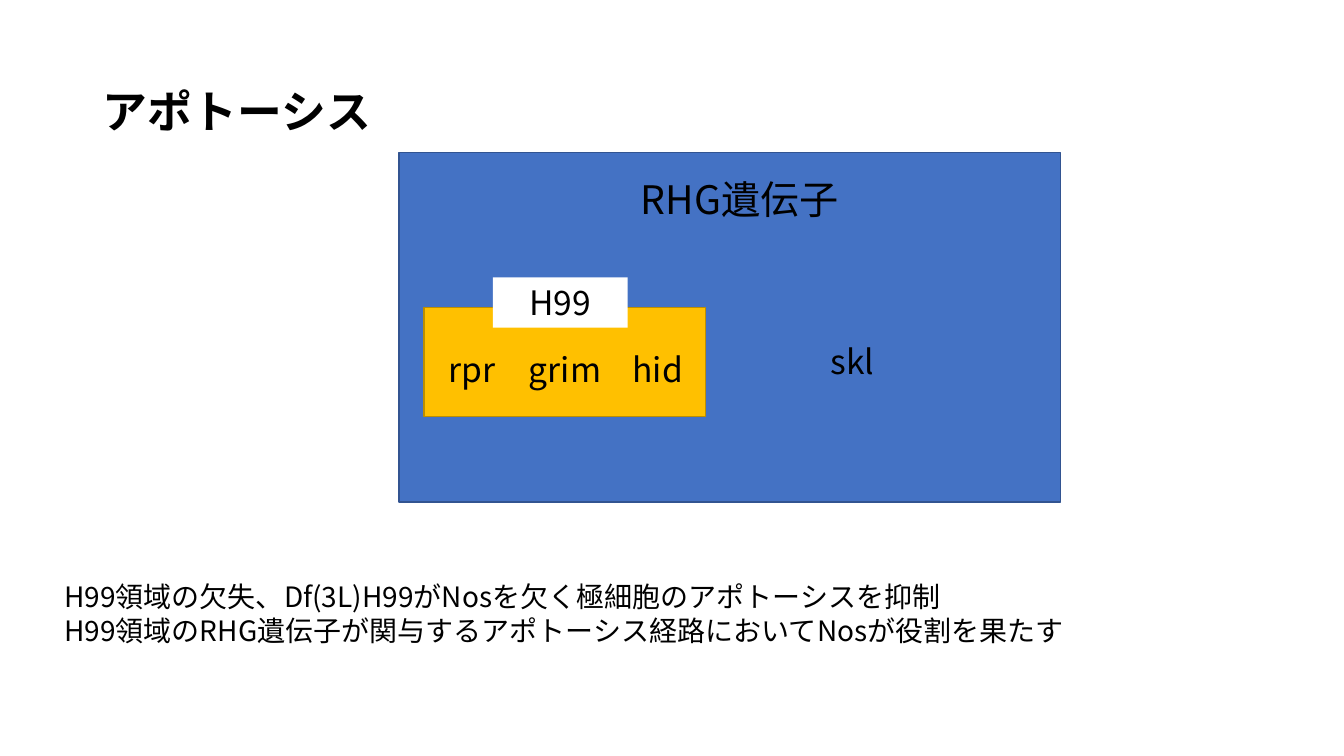
from lxml import etree
from pptx import Presentation
from pptx import util as u
from pptx.dml.color import RGBColor
from pptx.enum import shapes, text
from pptx.oxml.ns import qn

FONT = "Noto Sans CJK JP"
COLORS = {
    "text": "000000",
    "rhg": "4472C4",
    "rhg_line": "325491",
    "h99": "FFC000",
    "h99_line": "BD8E00",
    "label": "FFFFFF",
}
LABEL_W, LABEL_H = 3.4, 1.27


def color(name):
    return RGBColor.from_string(COLORS[name])


def write(sp, lines, size, bold=False, align=text.PP_ALIGN.LEFT, **frame):
    """Fill a shape with one paragraph per line, for Latin and Japanese alike."""
    tf = sp.text_frame
    for name, value in {"word_wrap": True, **frame}.items():
        setattr(tf, name, value)
    for i, line in enumerate(lines):
        p = tf.paragraphs[0] if i == 0 else tf.add_paragraph()
        p.alignment = align
        r = p.add_run()
        r.text = line
        for name, value in {"name": FONT, "size": u.Pt(size), "bold": bold}.items():
            setattr(r.font, name, value)
        r.font.color.rgb = color("text")
        etree.SubElement(r.font._element, qn("a:ea"), typeface=FONT)


def add_text(s, box, lines, size):
    sp = s.shapes.add_textbox(*map(u.Cm, box))
    write(sp, lines, size)


def add_rect(s, box, fill, line=None):
    sp = s.shapes.add_shape(shapes.MSO_SHAPE.RECTANGLE, *map(u.Cm, box))
    sp.shadow.inherit = False
    sp.fill.solid()
    sp.fill.fore_color.rgb = color(fill)
    if line:
        sp.line.color.rgb = color(line)
        sp.line.width = u.Pt(1)
    else:
        sp.line.fill.background()
    return sp


def add_title(s, box, title):
    sp = s.shapes.title
    sp.left, sp.top, sp.width, sp.height = map(u.Cm, box)
    write(sp, [title], 32, bold=True, vertical_anchor=text.MSO_ANCHOR.MIDDLE,
          auto_size=text.MSO_AUTO_SIZE.NONE)
    sp.text_frame.paragraphs[0].line_spacing = 0.9


def add_h99_region(s, box):
    x, y, w, h = box
    add_rect(s, box, "h99", "h99_line")
    for gene, dx in (("rpr", 0.36), ("grim", 2.39), ("hid", 5.0)):
        add_text(s, (x + dx, y + 0.92, LABEL_W, LABEL_H), [gene], 24)
    label = add_rect(s, (x + 1.73, y - 0.76, LABEL_W, LABEL_H), "label")
    write(label, ["H99"], 24, align=text.PP_ALIGN.CENTER,
          vertical_anchor=text.MSO_ANCHOR.TOP)


def add_rhg_genes(s, box):
    x, y, w, h = box
    add_rect(s, box, "rhg", "rhg_line")
    add_text(s, (x + 5.84, y + 0.45, 7.09, 1.45), ["RHG遺伝子"], 28)
    add_h99_region(s, (x + 0.63, y + 3.91, 7.09, 2.74))
    add_text(s, (x + 10.62, y + 4.62, LABEL_W, LABEL_H), ["skl"], 24)


def main():
    prs = Presentation()
    prs.slide_width, prs.slide_height = u.Cm(33.87), u.Cm(19.05)
    s = prs.slides.add_slide(prs.slide_layouts[5])
    add_title(s, (2.34, 1.02, 29.21, 3.68), "アポトーシス")
    add_rhg_genes(s, (10.06, 3.84, 16.66, 8.81))
    add_text(s, (1.37, 14.48, 30.18, 1.96), [
        "H99領域の欠失、Df(3L)H99がNosを欠く極細胞のアポトーシスを抑制",
        "H99領域のRHG遺伝子が関与するアポトーシス経路においてNosが役割を果たす",
    ], 20)
    prs.save("out.pptx")


if __name__ == "__main__":
    main()
